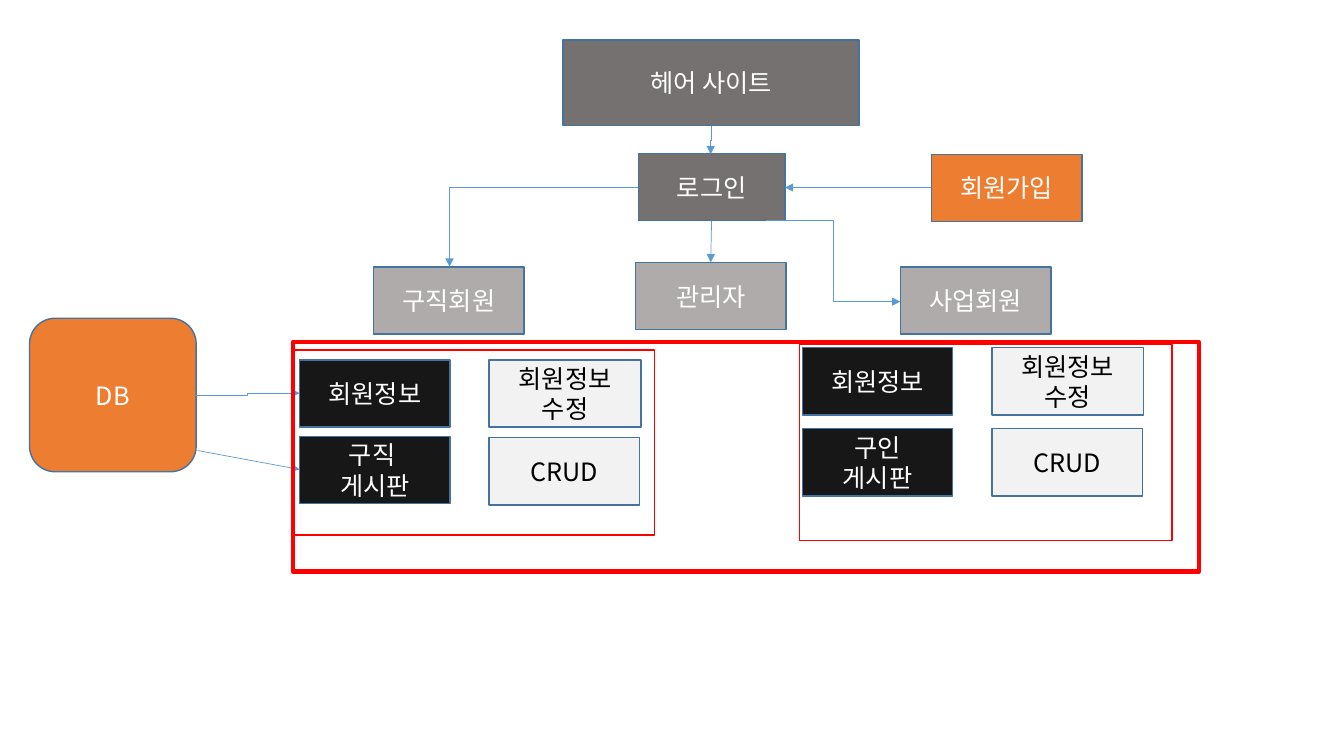
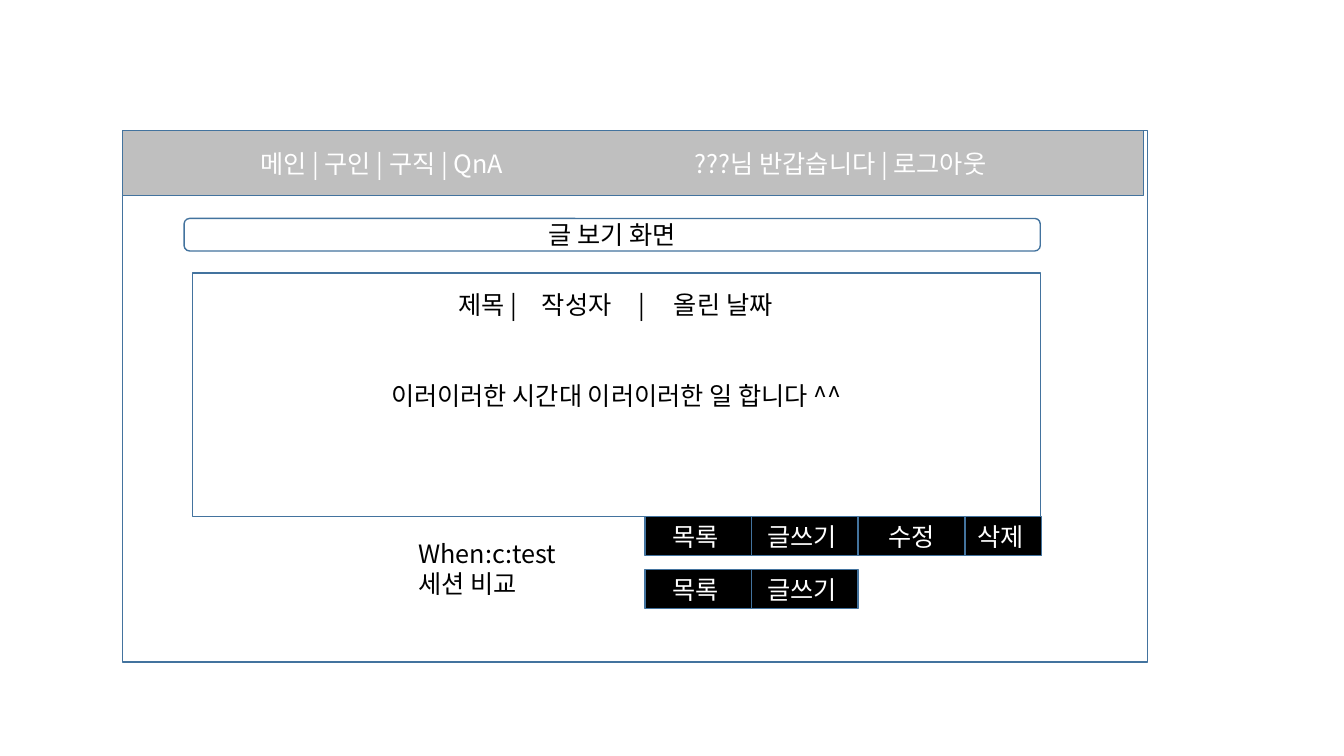
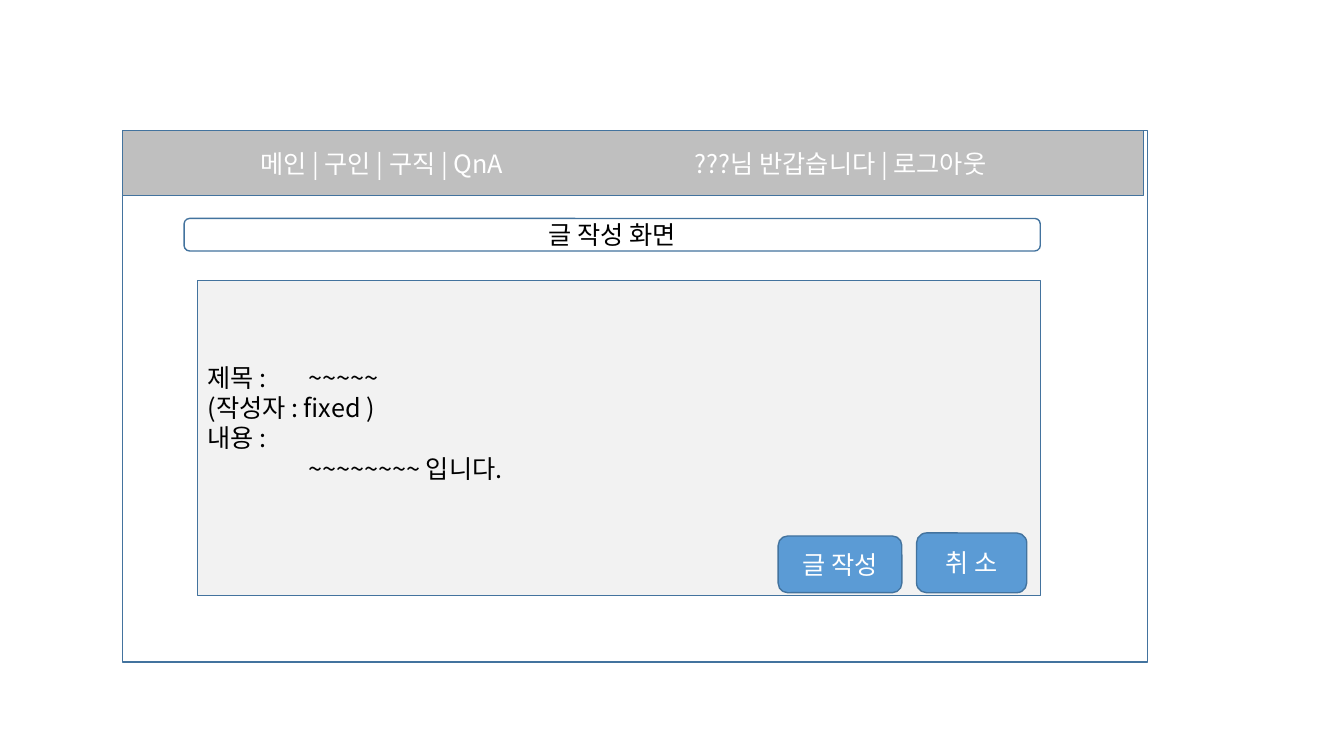
"""Build three slides: a site map, a post view wireframe and a post form wireframe."""
from lxml.etree import SubElement
from pptx import Presentation
from pptx.dml.color import RGBColor
from pptx.enum.shapes import MSO_CONNECTOR, MSO_SHAPE
from pptx.enum.text import MSO_ANCHOR, PP_ALIGN
from pptx.oxml.ns import qn
from pptx.util import Inches, Pt

SLIDE_WIDTH, SLIDE_HEIGHT = Inches(13.33), Inches(7.5)
FONT, FONT_SIZE = "Noto Sans CJK KR", Pt(18)
COLORS = {
    "outline": "43739E", "arrow": "5B9BD5", "button": "5B9BD5", "frame": "FF0000",
    "orange": "ED7D31", "dark": "767171", "gray": "AFABAB", "ink": "181717",
    "pale": "F2F2F2", "header": "BFBFBF", "white": "FFFFFF", "black": "000000",
}
NODE_WIDTH, NODE_HEIGHT = 11.2, 8.9
BUTTON_STEP, BUTTON_WIDTH, BUTTON_HEIGHT = 7.93, 7.9, 5.2


def across(share):
    """Turn a percentage of the slide width into a length."""
    return int(SLIDE_WIDTH * share / 100)


def down(share):
    """Turn a percentage of the slide height into a length."""
    return int(SLIDE_HEIGHT * share / 100)


def place(left, top, width, height):
    """Turn an area in slide percentages into four lengths."""
    return across(left), down(top), across(width), down(height)


def rgb(name):
    """Look up a colour by its name."""
    return RGBColor.from_string(COLORS[name])


def write(frame, lines, color, align=PP_ALIGN.CENTER, tabs=()):
    """Fill a text frame with one paragraph per line, with tab stops in inches."""
    frame.word_wrap = True
    for index, line in enumerate(lines):
        para = frame.paragraphs[0] if index == 0 else frame.add_paragraph()
        para.text = line
        para.alignment = align
        para.font.size = FONT_SIZE
        para.font.color.rgb = rgb(color)
        para.font.name = FONT
        defaults = para._p.pPr.find(qn("a:defRPr"))
        SubElement(defaults, qn("a:ea"), typeface=FONT)
        if tabs:
            stops = SubElement(para._p.pPr, qn("a:tabLst"))
            for stop in tabs:
                SubElement(stops, qn("a:tab"), pos=str(Inches(stop)), algn="l")
            defaults.addprevious(stops)


def add_box(page, area, lines=(), fill=None, color="white", outline="outline",
            weight=1, rounded=False, **text_options):
    """Add an outlined box with optional fill and text."""
    kind = MSO_SHAPE.ROUNDED_RECTANGLE if rounded else MSO_SHAPE.RECTANGLE
    box = page.shapes.add_shape(kind, *place(*area))
    box.shadow.inherit = False
    box.line.color.rgb = rgb(outline)
    box.line.width = Pt(weight)
    if fill:
        box.fill.solid()
        box.fill.fore_color.rgb = rgb(fill)
    else:
        box.fill.background()
    box.text_frame.vertical_anchor = MSO_ANCHOR.MIDDLE
    write(box.text_frame, lines, color, **text_options)
    return box


def add_node(page, left, top, lines, fill, color="white", width=NODE_WIDTH):
    """Add a site map node of the common size."""
    add_box(page, (left, top, width, NODE_HEIGHT), lines, fill, color)


def add_arrow(page, start, end, route="line"):
    """Add an arrow whose route is a line, a step, a vertical drop step or a corner."""
    x1, y1, x2, y2 = across(start[0]), down(start[1]), across(end[0]), down(end[1])
    if route == "drop":
        middle_x, middle_y = (x1 + x2) // 2, (y1 + y2) // 2
        half_x, half_y = (x1 - x2) // 2, (y2 - y1) // 2
        x1, y1 = middle_x - half_y, middle_y - half_x
        x2, y2 = middle_x + half_y, middle_y + half_x
    kind = MSO_CONNECTOR.STRAIGHT if route == "line" else MSO_CONNECTOR.ELBOW
    arrow = page.shapes.add_connector(kind, x1, y1, x2, y2)
    arrow.line.color.rgb = rgb("arrow")
    arrow.line.width = Pt(0.5)
    properties = arrow._element.spPr
    if route == "drop":
        properties.find(qn("a:xfrm")).set("rot", "5400000")
    if route == "corner":
        properties.find(qn("a:prstGeom")).set("prst", "bentConnector2")
    SubElement(properties.find(qn("a:ln")), qn("a:tailEnd"), type="triangle")
    SubElement(properties, qn("a:effectLst"))


def add_frame(page, area, weight=1):
    """Add a red frame around a group."""
    add_box(page, area, outline="frame", weight=weight)


def add_member_group(page, columns, rows, board, edit_row):
    """Add the four nodes of a member type."""
    add_node(page, columns[0], rows[0], ["회원정보"], "ink")
    add_node(page, columns[1], rows[0], ["회원정보", "수정"], "pale", "black", 11.3)
    add_node(page, columns[0], rows[1], board, "ink")
    add_node(page, columns[1], edit_row, ["CRUD"], "pale", "black")


def add_window(page, caption):
    """Add the site window with its menu and page caption."""
    add_box(page, (9.1, 17.3, 76.3, 70.3))
    menu = "\t메인 | 구인 | 구직 | QnA\t???님 반갑습니다 | 로그아웃"
    add_box(page, (9.1, 17.3, 76, 8.6), [menu], "header",
            align=PP_ALIGN.LEFT, tabs=(1.27, 5.58))
    add_box(page, (13.7, 28.9, 63.7, 4.3), [caption], color="black", rounded=True)


def add_buttons(page, top, labels):
    """Add a row of black buttons, the fourth one narrower."""
    for index, label in enumerate(labels):
        width = 5.7 if index == 3 else BUTTON_WIDTH
        add_box(page, (48 + index * BUTTON_STEP, top, width, BUTTON_HEIGHT), [label], "black")


def build_site_map(page):
    """Draw the site structure with its links."""
    add_box(page, (2.2, 42.1, 12.4, 20.3), ["DB"], "orange", rounded=True)
    add_box(page, (41.9, 5.3, 22, 11.3), ["헤어 사이트"], "dark")
    add_node(page, 47.5, 20.3, ["로그인"], "dark", width=10.9)
    add_node(page, 69.3, 20.4, ["회원가입"], "orange")
    for left, top, label in ((27.8, 35.3, "구직회원"), (47.3, 34.7, "관리자"),
                             (67, 35.3, "사업회원")):
        add_node(page, left, top, [label], "gray")
    add_member_group(page, (22.3, 36.4), (47.6, 57.7), ["구직 ", "게시판"], 57.9)
    add_member_group(page, (59.7, 73.8), (46, 56.7), ["구인", "게시판"], 56.7)
    for start, end, route in (
        ((52.95, 16.67), (52.88, 20.4), "drop"),
        ((69.3, 24.8), (58.4, 24.8), "line"),
        ((47.5, 24.8), (33.45, 35.3), "corner"),
        ((14.55, 52.3), (22.3, 52), "step"),
        ((14.7, 59.6), (22.3, 62.1), "line"),
        ((52.95, 29.2), (52.88, 34.7), "line"),
        ((57, 29.2), (67, 39.9), "step"),
    ):
        add_arrow(page, start, end, route)
    add_frame(page, (21.8, 46.3, 26.9, 24.5))
    add_frame(page, (59.5, 45.6, 27.7, 25.9))
    add_frame(page, (21.8, 45.2, 67.4, 30.4), weight=3)


def build_post_view(page):
    """Draw the screen that shows one post."""
    add_window(page, "글 보기 화면")
    post = add_box(page, (14.3, 36.1, 63.1, 32.2),
                   ["\t제목 |\t작성자\t|\t올린 날짜"], "white", "black",
                   align=PP_ALIGN.LEFT, tabs=(2.54, 3.37, 4.33, 4.68))
    post.text_frame.vertical_anchor = MSO_ANCHOR.TOP
    post.text_frame.margin_top = Inches(0.16)
    message = post.text_frame.add_paragraph()
    message.text = "이러이러한 시간대 이러이러한 일 합니다 ^^"
    message.alignment = PP_ALIGN.CENTER
    message.space_before = Pt(43.5)
    message.font.size = FONT_SIZE
    message.font.color.rgb = rgb("black")
    message.font.name = FONT
    add_buttons(page, 68.3, ["목록 ", "글쓰기 ", "수정", "삭제 "])
    add_buttons(page, 75.3, ["목록 ", "글쓰기 "])
    note = page.shapes.add_textbox(*place(30.4, 70.5, 16.2, 9.5))
    write(note.text_frame, ["When:c:test", "세션 비교"], "black", PP_ALIGN.LEFT)


def build_post_form(page):
    """Draw the screen for writing a post."""
    add_window(page, "글 작성 화면")
    fields = ["제목 :\t~~~~~", "(작성자 : fixed )", "내용 :", "\t~~~~~~~~ 입니다."]
    form = add_box(page, (14.7, 37.1, 62.7, 41.7), fields, "pale", "black",
                   align=PP_ALIGN.LEFT, tabs=(1,))
    form.text_frame.vertical_anchor = MSO_ANCHOR.TOP
    form.text_frame.margin_top = Inches(0.81)
    add_box(page, (57.9, 70.9, 9.2, 7.5), ["글 작성"], "button", rounded=True)
    add_box(page, (68.2, 70.5, 8.2, 7.9), ["취 소"], "button", rounded=True)


def main():
    """Build and save the deck."""
    deck = Presentation()
    deck.slide_width, deck.slide_height = SLIDE_WIDTH, SLIDE_HEIGHT
    for build in (build_site_map, build_post_view, build_post_form):
        build(deck.slides.add_slide(deck.slide_layouts[6]))
    deck.save("out.pptx")


if __name__ == "__main__":
    main()
